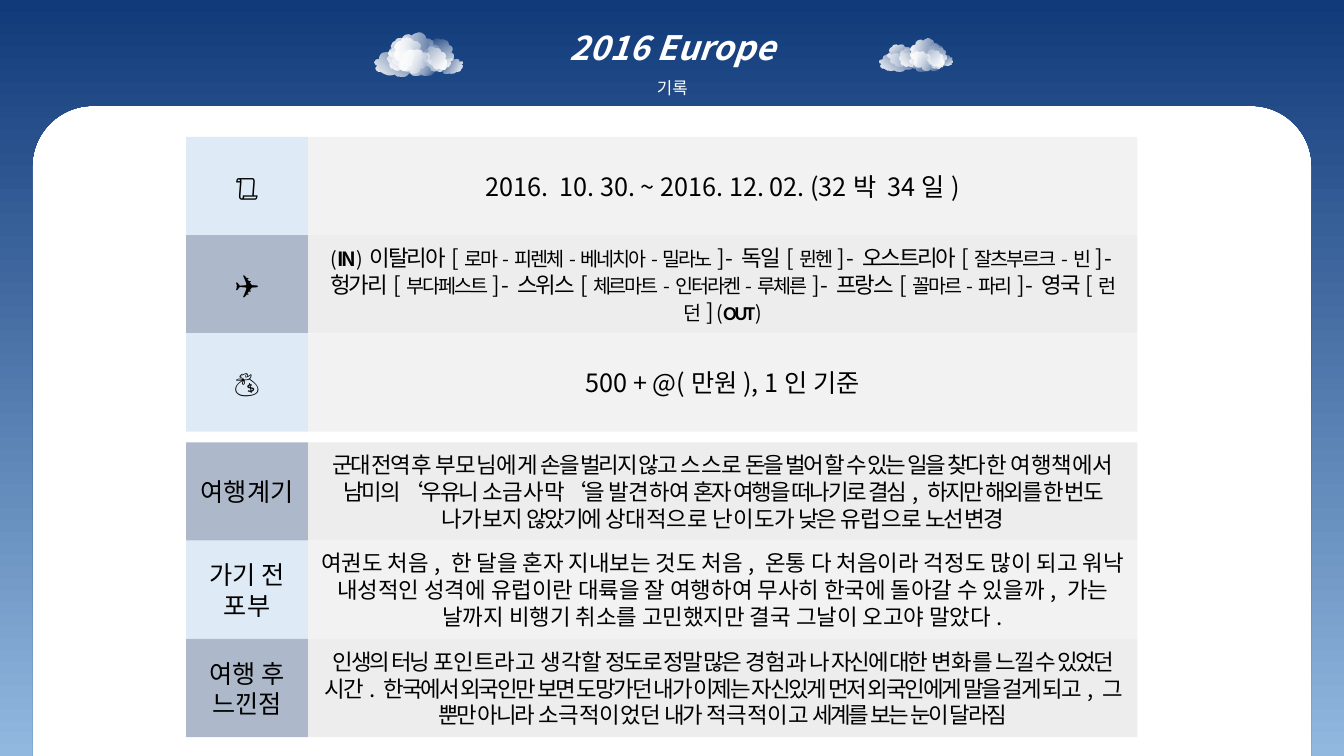
from dataclasses import dataclass
from itertools import cycle
from math import cos, pi, sin
from typing import Any, NamedTuple

from lxml.etree import SubElement
from pptx import Presentation
from pptx.dml.color import RGBColor
from pptx.enum.shapes import MSO_SHAPE
from pptx.enum.text import MSO_ANCHOR, MSO_AUTO_SIZE, PP_ALIGN
from pptx.oxml.ns import qn
from pptx.util import Pt

FACE = "Noto Sans CJK KR"
WIDE, HIGH = 960, 540
Form = dict[str, Any]


class Run(NamedTuple):
    text: str
    form: Form


class Puff(NamedTuple):
    left: float
    top: float
    width: float
    height: float
    turn: float = 0


@dataclass
class Row:
    label: str
    body: list[list[Run]]


PLAIN: Form = {"size": Pt(18)}
EVEN: Form = {"size": Pt(16)}
TIGHT: Form = {"size": Pt(16), "gap": -150}
SMALL: Form = {"size": Pt(14), "gap": -150}
STRONG: Form = SMALL | {"bold": True}
TITLE: Form = {"size": Pt(24), "bold": True, "italic": True, "tint": "FFFFFF"}
UNDER: Form = {"size": Pt(12), "tint": "FFFFFF"}


def mix(text: str, *forms: Form) -> list[Run]:
    return [Run(part, form) for part, form in zip(text.split("|"), cycle(forms))]


ROWS = [
    Row("📜", [mix("2016.  10. 30. ~ 2016. 12. 02. (32박 34일)", PLAIN)]),
    Row("✈", [
        mix("(|IN|) ", SMALL, STRONG)
        + mix("이탈리아[|로마-피렌체-베네치아-밀라노|] - 독일[|뮌헨|] - 오스트리아[|잘츠부르크-빈|] - ",
              TIGHT, SMALL),
        mix("헝가리[|부다페스트|] - 스위스[|체르마트-인터라켄-루체른|] - 프랑스[|꼴마르-파리|] - 영국[|런던|] ",
            TIGHT, SMALL)
        + mix("(|OUT|)", SMALL, STRONG | {"name": "Calibri"}),
    ]),
    Row("💰", [mix("500 + @(만원), 1인 기준", PLAIN)]),
    Row("여행계기", [mix(
        "군대 전역 후 |부모님에게| 손을 벌리지 않고 |스스로| 돈을 벌어 할 수 있는 일을 찾다 한 |여행책에서"
        "| 남미의 ‘우유니 |소금사막|‘을 |발견하여| 혼자 여행을 떠나기로 결심, 하지만 해외를 한 번도 "
        "|나가보지| 않았기에 |상대적으로 난이도가| 낮은 |유럽으로| 노선 변경", TIGHT, EVEN)]),
    Row("가기 전 포부", [mix(
        "여권도 처음, 한 달을 혼자 지내보는 것도 처음, 온통 다 처음이라 걱정도 많이 되고 "
        "워낙 내성적인 성격에 유럽이란 대륙을 잘 여행하여 무사히 한국에 돌아갈 수 있을까, "
        "가는 날까지 비행기 취소를 고민했지만 결국 그날이 오고야 말았다.", EVEN)]),
    Row("여행 후 느낀점", [mix(
        "인생의 터닝 |포인트라고 생각할| 정도로 정말 많은 |경험과| 나 자신에 대한 |변화를"
        "| 느낄 수 있었던 시간. 한국에서 외국인만 보면 도망가던 내가 이제는 자신있게 먼저 "
        "외국인에게 말을 걸게 되고, 그 뿐만 아니라 |소극적이었던| 내가 |적극적이고"
        "| 세계를 보는 눈이 달라짐", TIGHT, EVEN)]),
]

CLOUDS = [
    [
        Puff(267.8, 35.3, 36.7, 19.4),
        Puff(276.5, 31, 18.7, 19.4, 346.8),
        Puff(278.6, 25.9, 22.3, 24.5, 93.6),
        Puff(288, 33.8, 18.7, 22.3, 93.6),
        Puff(301.7, 34.6, 18.7, 15.1, 245.5),
        Puff(303.8, 28.8, 21.6, 19.4, 284.9),
        Puff(316.8, 38.9, 10.8, 16.6, 251.3),
        Puff(281.5, 23.8, 33.8, 31, 53),
    ],
    [
        Puff(628.6, 37.4, 26.6, 13.7),
        Puff(642.2, 33.8, 13, 13.7, 346.8),
        Puff(635, 31, 15.8, 17.3, 93.6),
        Puff(650.9, 36, 13.7, 15.8, 93.6),
        Puff(661, 36.7, 13.7, 10.8, 245.5),
        Puff(661.7, 32.4, 15.1, 14.4, 284.9),
        Puff(671.8, 38.2, 7.9, 9.4, 284.9),
        Puff(650.2, 28.1, 24.5, 22.3, 53),
    ],
]


def tint(code: str) -> RGBColor:
    return RGBColor.from_string(code)


def blend(shape: Any, first: str, last: str, angle: float) -> None:
    shape.shadow.inherit = False
    shape.line.fill.background()
    shape.fill.gradient()
    shape.fill.gradient_angle = angle
    for stop, code, place in zip(shape.fill.gradient_stops, (first, last), (0, 1)):
        stop.color.rgb = tint(code)
        stop.position = place


def write(frame: Any, lines: list[list[Run]], space: float | None = None) -> None:
    frame.word_wrap = True
    for spot, line in enumerate(lines):
        para = frame.add_paragraph() if spot else frame.paragraphs[0]
        para.alignment = PP_ALIGN.CENTER
        para.line_spacing = space
        for text, form in line:
            run = para.add_run()
            run.text = text
            font = run.font
            font.color.rgb = tint(form.get("tint", "000000"))
            look = {"name": FACE, "bold": False, "italic": False} | form
            for key, value in look.items():
                if key not in ("tint", "gap"):
                    setattr(font, key, value)
            props = run._r.get_or_add_rPr()
            props.set("spc", str(form.get("gap", 0)))
            SubElement(props, qn("a:ea")).set("typeface", FACE)


def draw_sky(shapes: Any) -> None:
    left, right, top, curve = 23, 937, 75.6, 43.5
    turns = [step * pi / 48 for step in range(25)]
    east = [(right - curve + curve * cos(a), top + curve - curve * sin(a)) for a in turns]
    west = [(left + curve - curve * sin(a), top + curve - curve * cos(a)) for a in turns]
    edge = [(WIDE, 0), (WIDE, HIGH), (right, HIGH), *east, *west, (left, HIGH), (0, HIGH)]
    pen = shapes.build_freeform(0, 0, scale=Pt(1) / 100)
    pen.add_line_segments([(x * 100, y * 100) for x, y in edge], close=True)
    blend(pen.convert_to_shape(), "113A7A", "91B8DF", 270)


def draw_cloud(shapes: Any, puffs: list[Puff]) -> None:
    group = shapes.add_group_shape()
    for puff in puffs:
        shape = group.shapes.add_shape(MSO_SHAPE.CLOUD, *map(Pt, puff[:4]))
        shape.rotation = puff.turn
        blend(shape, "FFFFFF", "FFFFFF", 45)
        ends = list(shape._element.spPr.iter(qn("a:srgbClr")))
        SubElement(ends[-1], qn("a:alpha")).set("val", "0")


def draw_cell(shapes: Any, left: float, top: float, width: float,
              height: float, code: str, lines: list[list[Run]]) -> None:
    cell = shapes.add_shape(MSO_SHAPE.RECTANGLE, *map(Pt, (left, top, width, height)))
    cell.shadow.inherit = False
    cell.fill.solid()
    cell.fill.fore_color.rgb = tint(code)
    cell.line.fill.background()
    cell.text_frame.vertical_anchor = MSO_ANCHOR.MIDDLE
    write(cell.text_frame, lines)


def draw_rows(shapes: Any) -> None:
    left, split, right = 133, 220, 812.4
    top, high, gap = 97.8, 70.2, 7.6
    shades = [("DEEBF7", "F2F2F2"), ("ADB9CA", "EDEDED")]
    for spot, row in enumerate(ROWS):
        y = top + spot * high + spot // 3 * gap
        dark, light = shades[spot % 2]
        draw_cell(shapes, split, y, right - split, high, light, row.body)
        draw_cell(shapes, left, y, split - left, high, dark, [mix(row.label, PLAIN)])


def main() -> None:
    deck = Presentation()
    deck.slide_width, deck.slide_height = Pt(WIDE), Pt(HIGH)
    shapes = deck.slides.add_slide(deck.slide_layouts[6]).shapes
    draw_sky(shapes)
    title = shapes.add_textbox(Pt(272.2), Pt(1.4), Pt(416.2), Pt(72.7)).text_frame
    write(title, [mix("2016 Europe", TITLE), mix("기록", UNDER)], 1.5)
    title.auto_size = MSO_AUTO_SIZE.SHAPE_TO_FIT_TEXT
    for puffs in CLOUDS:
        draw_cloud(shapes, puffs)
    draw_rows(shapes)
    deck.save("out.pptx")


if __name__ == "__main__":
    main()
